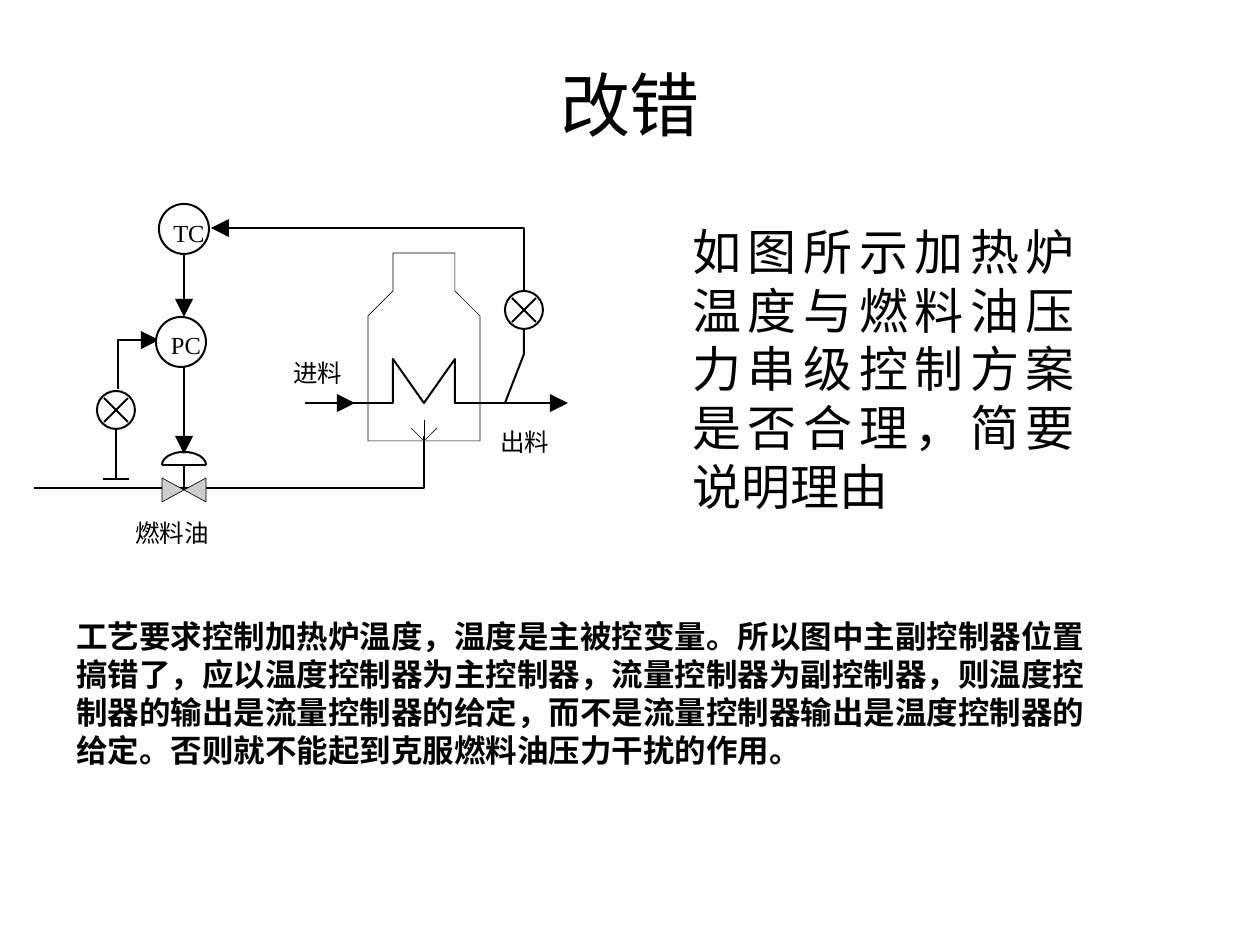
from dataclasses import dataclass
from math import cos, pi, sin

from lxml import etree
from pptx import Presentation
from pptx.dml.color import RGBColor
from pptx.enum.shapes import MSO_CONNECTOR as CONN, MSO_SHAPE as SHAPE
from pptx.enum.text import MSO_ANCHOR as ANCHOR, PP_ALIGN as ALIGN
from pptx.oxml.ns import qn
from pptx.util import Emu, Pt


@dataclass(frozen=True)
class Theme:
    ink: RGBColor = RGBColor(0, 0, 0)
    paper: RGBColor = RGBColor(255, 255, 255)
    valve: RGBColor = RGBColor(0xCD, 0xCD, 0xCD)
    cjk: str = "Noto Sans CJK SC"
    sans: str = "Arial"
    serif: str = "Times New Roman"
    title: int = 40
    question: int = 28
    answer: int = 18
    label: int = 14
    pipe: float = 1.13
    thin: float = 0.37


T = Theme()
PX_PER_INCH = 126


def px(n):
    return Emu(round(n * 914400 / PX_PER_INCH))


def style(s, fill=None, width=None):
    s.shadow.inherit = False
    if fill is None:
        s.fill.background()
    else:
        s.fill.solid()
        s.fill.fore_color.rgb = fill
    if width is None:
        s.line.fill.background()
    else:
        s.line.color.rgb = T.ink
        s.line.width = Pt(width)


def add_line(shapes, x1, y1, x2, y2, width=T.pipe):
    c = shapes.add_connector(CONN.STRAIGHT, px(x1), px(y1), px(x2), px(y2))
    c.line.color.rgb = T.ink
    c.line.width = Pt(width)
    etree.SubElement(c._element.spPr, qn("a:effectLst"))


def add_path(shapes, points, fill=None, width=T.pipe, close=False):
    start, *rest = [(px(x), px(y)) for x, y in points]
    builder = shapes.build_freeform(*start)
    builder.add_line_segments(rest, close=close)
    style(builder.convert_to_shape(), fill, width)


def add_head(shapes, x, y, dx, dy, length=18, half=9):
    bx, by = x - dx * length, y - dy * length
    points = [(x, y), (bx - dy * half, by + dx * half), (bx + dy * half, by - dx * half)]
    add_path(shapes, points, T.ink, None, close=True)


def add_circle(shapes, cx, cy, r):
    s = shapes.add_shape(SHAPE.OVAL, px(cx - r), px(cy - r), px(2 * r), px(2 * r))
    style(s, T.paper, T.pipe)


def add_sensor(shapes, cx, cy, r=19, arm=12):
    add_circle(shapes, cx, cy, r)
    for side in (-1, 1):
        add_line(shapes, cx - side * arm, cy - arm, cx + side * arm, cy + arm)


def add_text(shapes, text, box, size, font, align, bold=False, anchor=ANCHOR.TOP, wrap=True):
    tf = shapes.add_textbox(*map(px, box)).text_frame
    tf.word_wrap = wrap
    tf.vertical_anchor = anchor
    if not wrap:
        tf.margin_left = tf.margin_right = tf.margin_top = tf.margin_bottom = 0
    p = tf.paragraphs[0]
    p.text = text
    p.alignment = align
    r = p.runs[0]
    r.font.name = font
    r.font.size = Pt(size)
    r.font.bold = bold
    r.font.color.rgb = T.ink
    etree.SubElement(r._r.get_or_add_rPr(), qn("a:ea")).set("typeface", T.cjk)


def add_label(shapes, text, cx, top, width, font=T.cjk):
    add_text(shapes, text, (cx - width / 2, top, width, 29), T.label, font,
             ALIGN.CENTER, wrap=False)


def add_furnace(shapes):
    outline = [(368, 441), (368, 316), (393, 291), (393, 253),
               (455, 253), (455, 291), (480, 316), (480, 441)]
    add_path(shapes, outline, T.paper, T.thin, close=True)
    coil = [(343, 403), (393, 403), (393, 359), (424, 403), (455, 359), (455, 403), (505, 403)]
    add_path(shapes, coil)
    for start, end, tip in ((505, 552, 568), (305, 339, 355)):
        add_line(shapes, start, 403, end, 403)
        add_head(shapes, tip, 403, 1, 0)
    add_label(shapes, "进料", 318, 358, 60)
    add_label(shapes, "出料", 525, 427, 60)


def add_fuel_line(shapes):
    add_path(shapes, [(424, 436), (424, 488), (34, 488)])
    for x, y in ((437, 428), (411, 428), (424, 420)):
        add_line(shapes, 424, 441, x, y, T.thin)
    valve = [(206, 502), (206, 478), (162, 502), (162, 478)]
    add_path(shapes, valve, T.valve, T.thin, close=True)
    add_line(shapes, 184, 490, 184, 465)
    add_line(shapes, 162, 465, 206, 465)
    angles = [pi * i / 16 for i in range(17)]
    add_path(shapes, [(184 - 22 * cos(a), 465 - 13 * sin(a)) for a in angles])
    add_label(shapes, "燃料油", 172, 518, 84)


def add_control_loop(shapes):
    add_sensor(shapes, 524, 310)
    add_path(shapes, [(524, 329), (524, 354), (505, 403)])
    add_circle(shapes, 184, 229, 25)
    add_label(shapes, "TC", 189, 218, 40, T.serif)
    add_path(shapes, [(524, 291), (524, 228), (227, 228)])
    add_head(shapes, 211, 228, -1, 0)
    add_path(shapes, [(118, 389), (118, 340), (171, 340)])
    add_head(shapes, 159, 340, 1, 0)
    for top, bottom, tip in ((367, 438, 454), (254, 301, 317)):
        add_line(shapes, 184, top, 184, bottom)
        add_head(shapes, 184, tip, 0, 1)
    add_circle(shapes, 181, 342, 25)
    add_label(shapes, "PC", 186, 330, 40, T.serif)
    add_sensor(shapes, 116, 410)
    add_line(shapes, 116, 429, 116, 479)
    add_line(shapes, 129, 479, 103, 479)


def main():
    prs = Presentation()
    prs.slide_width, prs.slide_height = px(1260), px(945)
    shapes = prs.slides.add_slide(prs.slide_layouts[6]).shapes
    add_text(shapes, "改错", (63, 38, 1134, 131), T.title, T.sans, ALIGN.CENTER,
             anchor=ANCHOR.MIDDLE)
    add_text(shapes, "如图所示加热炉温度与燃料油压力串级控制方案是否合理，简要说明理由",
             (680, 215, 407, 307), T.question, T.cjk, ALIGN.JUSTIFY)
    add_furnace(shapes)
    add_fuel_line(shapes)
    add_control_loop(shapes)
    add_text(shapes,
             "工艺要求控制加热炉温度，温度是主被控变量。所以图中主副控制器位置搞错了，"
             "应以温度控制器为主控制器，流量控制器为副控制器，则温度控制器的输出是流量控制器的给定，"
             "而不是流量控制器输出是温度控制器的给定。否则就不能起到克服燃料油压力干扰的作用。",
             (64, 611, 1036, 164), T.answer, T.sans, ALIGN.LEFT, bold=True)
    prs.save("out.pptx")


if __name__ == "__main__":
    main()
